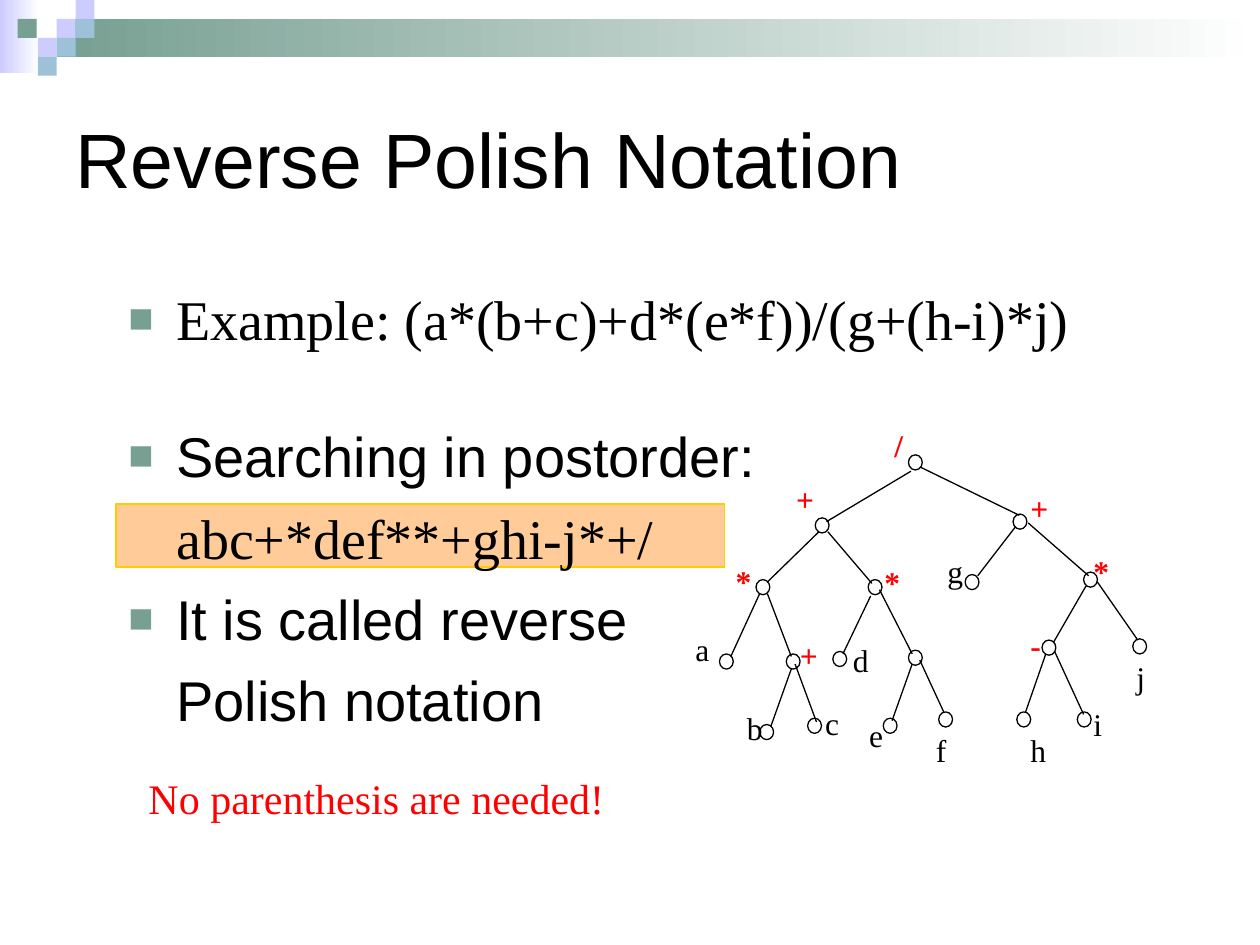
"""Builds the Reverse Polish Notation slide with its expression tree."""
from lxml import etree
from pptx import Presentation
from pptx.dml.color import RGBColor
from pptx.enum.shapes import MSO_CONNECTOR, MSO_SHAPE
from pptx.enum.text import MSO_ANCHOR, PP_ALIGN
from pptx.oxml.ns import qn
from pptx.util import Pt

PX = 9144
RECT, OVAL = MSO_SHAPE.RECTANGLE, MSO_SHAPE.OVAL
STRAIGHT = MSO_CONNECTOR.STRAIGHT
MIDDLE, JUSTIFY, LEFT = MSO_ANCHOR.MIDDLE, PP_ALIGN.JUSTIFY, PP_ALIGN.LEFT
BLACK = RGBColor(0x00, 0x00, 0x00)
WHITE = RGBColor(0xFF, 0xFF, 0xFF)
RED = RGBColor(0xFF, 0x00, 0x00)
LAVENDER = RGBColor(0xCC, 0xCC, 0xFF)
GREEN = RGBColor(0x77, 0x9F, 0x92)
BLUE = RGBColor(0x9D, 0xC2, 0xD7)
PEACH = RGBColor(0xFF, 0xCC, 0x99)
GOLD = RGBColor(0xFF, 0xCC, 0x00)
SANS, SERIF = "Arial", "Times New Roman"

prs = Presentation()
prs.slide_width, prs.slide_height = 1000 * PX, 750 * PX
s = prs.slides.add_slide(prs.slide_layouts[6])


def add_box(kind, x, y, w, h, fill, line=None):
    sp = s.shapes.add_shape(kind, x * PX, y * PX, w * PX, h * PX)
    sp.shadow.inherit = False
    sp.fill.solid()
    sp.fill.fore_color.rgb = fill
    if line is None:
        sp.line.fill.background()
    else:
        sp.line.color.rgb = line
        sp.line.width = Pt(0.75)
    return sp


def add_text(x, y, w, h, text, size, font=SERIF, color=BLACK, bold=False):
    tf = s.shapes.add_textbox(x * PX, y * PX, w * PX, h * PX).text_frame
    tf.word_wrap = True
    tf.text = text
    for p in tf.paragraphs:
        f = p.runs[0].font
        f.name, f.size, f.bold = font, Pt(size), bold
        f.color.rgb = color
    return tf


for x, y, w, h, color in [(0, 0, 31, 58, LAVENDER), (45, 15, 955, 30, GREEN)]:
    sp = add_box(RECT, x, y, w, h, color)
    sp.fill.gradient()
    sp.fill.gradient_angle = 180
    for stop, rgb in zip(sp.fill.gradient_stops, (WHITE, color)):
        stop.color.rgb = rgb

for x, y, color in [(45, 15, LAVENDER), (60, 0, LAVENDER), (60, 15, BLUE),
                    (30, 30, LAVENDER), (14, 15, GREEN), (45, 30, BLUE), (30, 45, BLUE)]:
    add_box(RECT, x, y, 15, 15, color)

add_box(RECT, 92, 400, 483, 50, PEACH, GOLD)

tf = add_text(50, 50, 900, 150, "Reverse Polish Notation", 44, SANS)
tf.vertical_anchor = MIDDLE

body = [
    ("Example: (a*(b+c)+d*(e*f))/(g+(h-i)*j)", SERIF, JUSTIFY, 8, True),
    ("Searching in postorder:", SANS, JUSTIFY, 40, True),
    ("abc+*def**+ghi-j*+/", SERIF, JUSTIFY, 8, False),
    ("It is called reverse", SANS, LEFT, 8, True),
    ("Polish notation", SANS, LEFT, 8, False),
]
tf = add_text(92, 221, 888, 450, "\n".join(row[0] for row in body), 32)
for p, (text, font, align, before, bullet) in zip(tf.paragraphs, body):
    p.alignment = align
    p.space_before = Pt(before)
    p.runs[0].font.name = font
    pPr = p._p.get_or_add_pPr()
    pPr.set("marL", str(38 * PX))
    pPr.set("indent", str(-38 * PX if bullet else 0))
    if bullet:
        color = etree.SubElement(pPr, qn("a:buClr"))
        etree.SubElement(color, qn("a:srgbClr"), val=str(GREEN))
        etree.SubElement(pPr, qn("a:buSzPct"), val="75000")
        etree.SubElement(pPr, qn("a:buFont"), typeface=SANS)
        etree.SubElement(pPr, qn("a:buChar"), char="■")

nodes = [
    (721, 361), (647, 411), (804, 408), (600, 460), (689, 460), (766, 456),
    (860, 454), (571, 519), (624, 519), (661, 517), (721, 516), (827, 508),
    (899, 507), (603, 575), (855, 565), (807, 565), (745, 565), (701, 570), (641, 570),
]
for x, y in nodes:
    add_box(OVAL, x, y, 11, 12, WHITE, BLACK)

edges = [
    (723, 374, 656, 414), (731, 371, 809, 409), (650, 422, 609, 462),
    (657, 422, 692, 463), (806, 418, 776, 457), (816, 415, 864, 457),
    (603, 471, 580, 521), (609, 471, 628, 521), (691, 473, 669, 519),
    (698, 468, 724, 519), (862, 465, 836, 510), (871, 462, 903, 508),
    (628, 531, 612, 576), (631, 527, 648, 573), (724, 527, 708, 572),
    (730, 524, 749, 565), (830, 519, 814, 565), (837, 517, 860, 567),
]
for edge in edges:
    ln = s.shapes.add_connector(STRAIGHT, *(v * PX for v in edge))
    ln.line.color.rgb = BLACK
    ln.line.width = Pt(0.75)
    etree.SubElement(ln._element.spPr, qn("a:effectLst"))

operands = [
    ("j", 892, 517), ("i", 858, 555), ("a", 542, 495), ("g", 742, 433), ("b", 583, 558),
    ("c", 645, 554), ("d", 667, 504), ("e", 680, 563), ("f", 733, 575), ("h", 808, 575),
]
for text, x, y in operands:
    add_text(x, y, 64, 56, text, 18)

operators = [
    ("/", 700, 333), ("+", 622, 376), ("+", 808, 383), ("*", 574, 441),
    ("*", 692, 442), ("*", 858, 433), ("+", 625, 500), ("-", 808, 492),
]
for text, x, y in operators:
    add_text(x, y, 51, 57, text, 18, color=RED, bold=True)

tf = add_text(108, 608, 508, 50, "No parenthesis are needed!", 24, color=RED)
tf.paragraphs[0].space_before = Pt(15)

prs.save("out.pptx")
